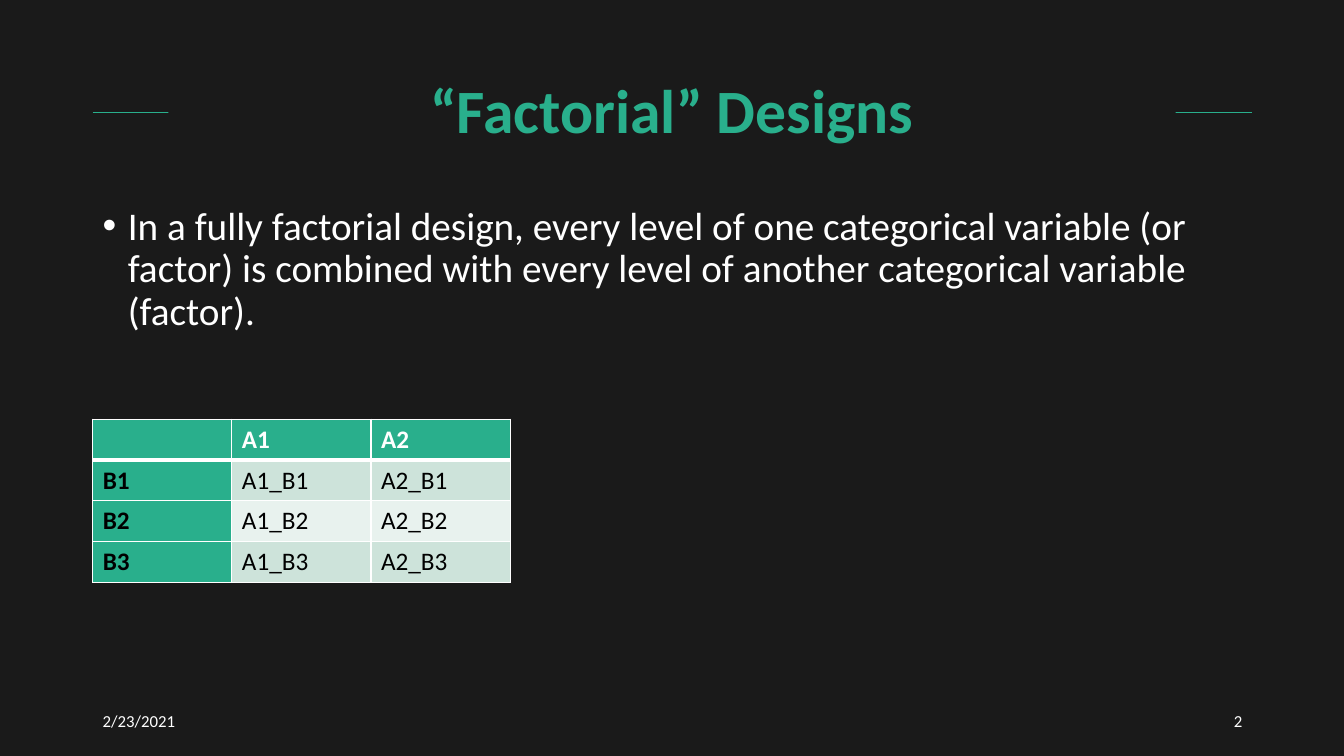
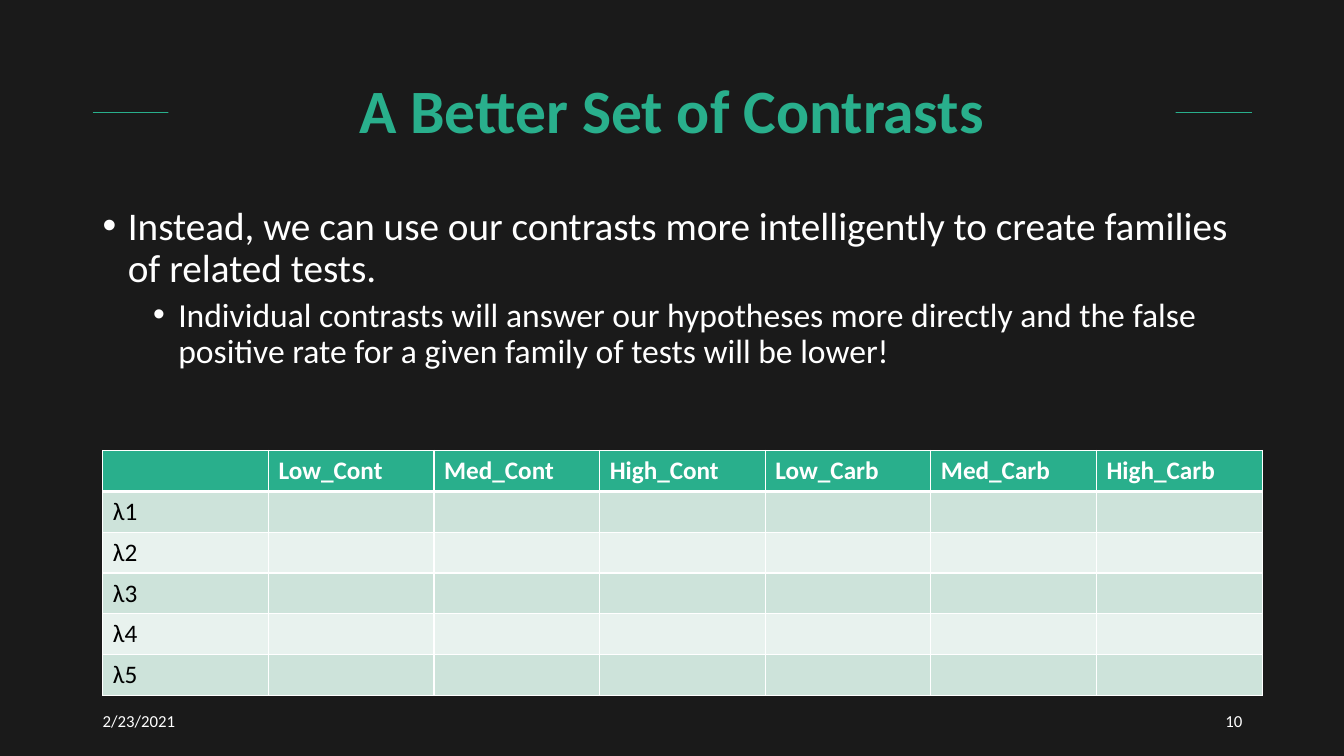
from dataclasses import dataclass

from lxml import etree
from pptx import Presentation
from pptx.dml.color import RGBColor
from pptx.enum import shapes, text
from pptx.oxml import ns
from pptx.util import Inches, Pt

BACKGROUND = RGBColor(0x1A, 0x1A, 0x1A)
ACCENT = RGBColor(0x29, 0xAF, 0x8C)
BAND_DARK = RGBColor(0xCD, 0xE3, 0xDA)
BAND_LIGHT = RGBColor(0xE8, 0xF2, 0xEE)
WHITE = RGBColor(0xFF, 0xFF, 0xFF)
BLACK = RGBColor(0x00, 0x00, 0x00)
FONT = "Calibri"
MARGIN = 0.92
CONTENT_WIDTH = 11.5
ROW_HEIGHT = Inches(1.62) // 4
DATE = "2/23/2021"


@dataclass(frozen=True)
class Bullet:
    text: str
    level: int = 0


@dataclass(frozen=True)
class Grid:
    left: float
    top: float
    width: float
    rows: list[list[str]]
    accent_first_column: bool = False


@dataclass(frozen=True)
class Content:
    title: str
    number: int
    bullets: list[Bullet]
    grid: Grid


SLIDES = [
    Content(
        "“Factorial” Designs",
        2,
        [Bullet("In a fully factorial design, every level of one categorical variable "
                "(or factor) is combined with every level of another categorical "
                "variable (factor).")],
        Grid(MARGIN, 4.16, 4.14,
             [["", "A1", "A2"]]
             + [[f"B{b}", f"A1_B{b}", f"A2_B{b}"] for b in range(1, 4)],
             accent_first_column=True),
    ),
    Content(
        "A Better Set of Contrasts",
        10,
        [Bullet("Instead, we can use our contrasts more intelligently to create "
                "families of related tests."),
         Bullet("Individual contrasts will answer our hypotheses more directly and "
                "the false positive rate for a given family of tests will be lower!", 1)],
        Grid(1.02, 4.47, CONTENT_WIDTH,
             [[""] + [f"{level}_{group}" for group in ("Cont", "Carb")
                      for level in ("Low", "Med", "High")]]
             + [[f"λ{i}"] + [""] * 6 for i in range(1, 6)]),
    ),
]


def write(para, words: str, *, size: float, color: RGBColor = WHITE,
          bold: bool = False, align=text.PP_ALIGN.LEFT,
          line_spacing: float = 1.0, space_before: float = 0) -> None:
    para.alignment = align
    para.line_spacing = line_spacing
    para.space_before = Pt(space_before)
    span = para.add_run()
    span.text = words
    span.font.name = FONT
    span.font.size = Pt(size)
    span.font.bold = bold
    span.font.color.rgb = color


def add_bullet_mark(para, level: int) -> None:
    properties = para._p.get_or_add_pPr()
    properties.set("marL", str(Inches(0.25 + 0.5 * level)))
    properties.set("indent", str(-Inches(0.25)))
    etree.SubElement(properties, ns.qn("a:buFont"), typeface="Arial")
    etree.SubElement(properties, ns.qn("a:buChar"), char="•")


def add_text_box(page, left: float, top: float, width: float, height: float,
                 anchor=text.MSO_ANCHOR.TOP):
    box = page.shapes.add_textbox(Inches(left), Inches(top), Inches(width), Inches(height))
    frame = box.text_frame
    frame.word_wrap = True
    frame.vertical_anchor = anchor
    return frame


def add_title(page, words: str) -> None:
    title = page.shapes.title
    title.left, title.top = Inches(1.67), Inches(0.4)
    title.width, title.height = Inches(9.99), Inches(1.45)
    title.fill.solid()
    title.fill.fore_color.rgb = BACKGROUND
    frame = title.text_frame
    frame.word_wrap = True
    frame.vertical_anchor = text.MSO_ANCHOR.MIDDLE
    write(frame.paragraphs[0], words, size=44, color=ACCENT, bold=True,
          align=text.PP_ALIGN.CENTER, line_spacing=0.9)


def add_rule_behind_title(page) -> None:
    rule = page.shapes.add_connector(
        shapes.MSO_CONNECTOR.STRAIGHT, Inches(MARGIN), Inches(1.11),
        Inches(MARGIN + CONTENT_WIDTH), Inches(1.11))
    rule.line.color.rgb = ACCENT
    rule.line.width = Pt(0.5)
    etree.SubElement(rule.element.spPr, ns.qn("a:effectLst"))
    page.shapes.title.element.addprevious(rule.element)


def add_body(page, bullets: list[Bullet]) -> None:
    frame = add_text_box(page, MARGIN, 2, CONTENT_WIDTH, 4.76)
    for index, bullet in enumerate(bullets):
        para = frame.add_paragraph() if index else frame.paragraphs[0]
        para.level = bullet.level
        add_bullet_mark(para, bullet.level)
        write(para, bullet.text, size=28 - 4 * bullet.level, line_spacing=0.9,
              space_before=5 if index else 0)


def add_footer(page, number: int) -> None:
    width = 3
    for left, words, align in (
        (MARGIN, DATE, text.PP_ALIGN.LEFT),
        (MARGIN + CONTENT_WIDTH - width, str(number), text.PP_ALIGN.RIGHT),
    ):
        frame = add_text_box(page, left, 6.95, width, 0.4, text.MSO_ANCHOR.MIDDLE)
        write(frame.paragraphs[0], words, size=12, align=align)


def set_borders(cell, top: float, bottom: float) -> None:
    properties = cell._tc.get_or_add_tcPr()
    widths = {"L": 1, "R": 1, "T": top, "B": bottom}
    for position, (side, width) in enumerate(widths.items()):
        line = etree.Element(ns.qn(f"a:ln{side}"), w=str(Pt(width)))
        fill = etree.SubElement(line, ns.qn("a:solidFill"))
        etree.SubElement(fill, ns.qn("a:srgbClr"), val=str(WHITE))
        properties.insert(position, line)


def add_grid(page, grid: Grid) -> None:
    row_count, column_count = len(grid.rows), len(grid.rows[0])
    table = page.shapes.add_table(
        row_count, column_count, Inches(grid.left), Inches(grid.top),
        Inches(grid.width), ROW_HEIGHT * row_count).table
    table.first_col = grid.accent_first_column
    for r, row in enumerate(grid.rows):
        for c, words in enumerate(row):
            cell = table.cell(r, c)
            header = r == 0
            accented = header or (grid.accent_first_column and c == 0)
            cell.fill.solid()
            cell.fill.fore_color.rgb = (
                ACCENT if accented else BAND_DARK if r % 2 else BAND_LIGHT)
            set_borders(cell, top=3 if r == 1 else 1, bottom=3 if header else 1)
            if words:
                write(cell.text_frame.paragraphs[0], words, size=18, bold=accented,
                      color=WHITE if header else BLACK)


def main() -> None:
    deck = Presentation()
    deck.slide_width, deck.slide_height = Inches(13.33), Inches(7.5)
    background = deck.slide_master.background.fill
    background.solid()
    background.fore_color.rgb = BACKGROUND
    for content in SLIDES:
        page = deck.slides.add_slide(deck.slide_layouts[5])
        add_title(page, content.title)
        add_rule_behind_title(page)
        add_body(page, content.bullets)
        add_footer(page, content.number)
        add_grid(page, content.grid)
    deck.save("out.pptx")


if __name__ == "__main__":
    main()
